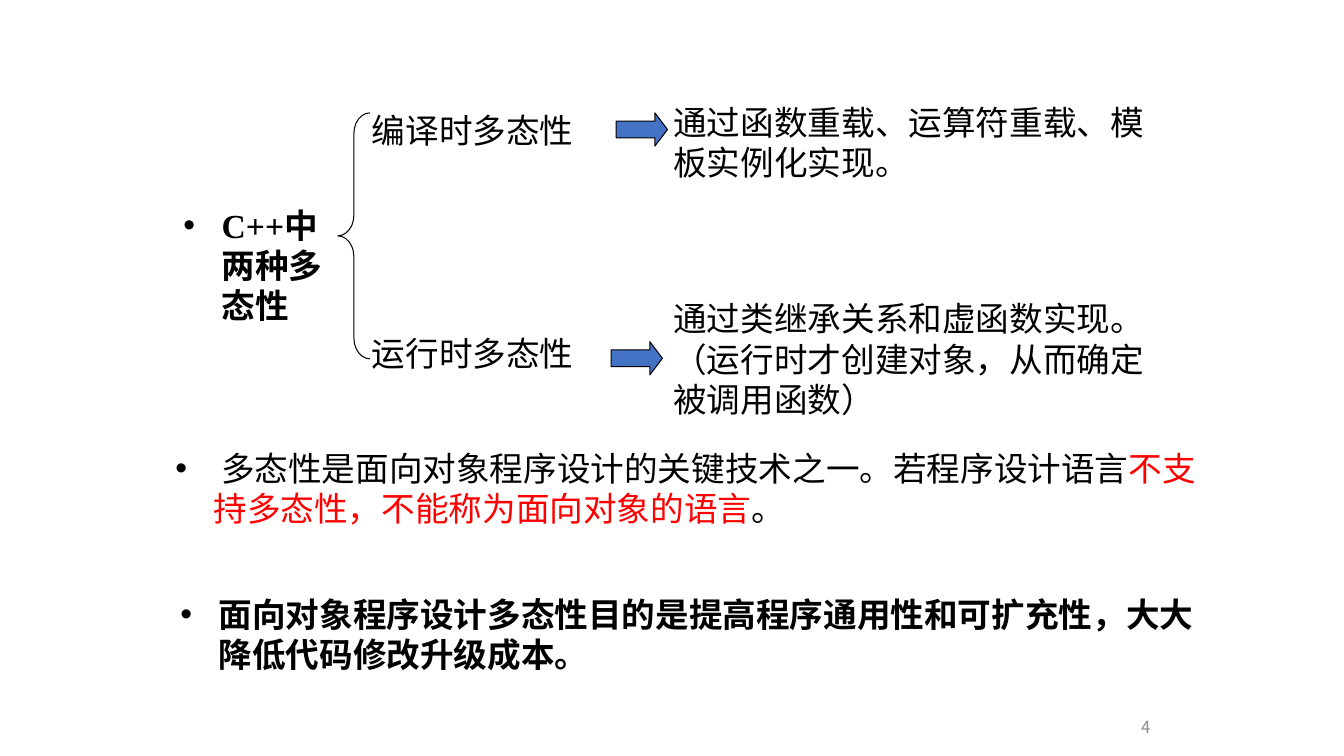
from dataclasses import dataclass

from lxml.etree import SubElement
from pptx import Presentation
from pptx.dml.color import RGBColor
from pptx.enum.shapes import MSO_SHAPE
from pptx.enum.text import MSO_ANCHOR, MSO_AUTO_SIZE, PP_ALIGN
from pptx.oxml.ns import qn
from pptx.util import Pt

SCALE = 9144


@dataclass(frozen=True)
class Theme:
    black: RGBColor = RGBColor(0, 0, 0)
    red: RGBColor = RGBColor(255, 0, 0)
    blue: RGBColor = RGBColor(0x44, 0x72, 0xC4)
    gray: RGBColor = RGBColor(0x8C, 0x8C, 0x8C)
    sans: str = "Noto Sans CJK SC"
    serif: str = "Times New Roman"
    body: int = 24
    small: int = 12
    line: float = 0.75


THEME = Theme()


def px(*sizes):
    return [size * SCALE for size in sizes]


def style(run, size, color, bold=False, face=THEME.sans):
    font = run.font
    font.size = Pt(size)
    font.bold = bold
    font.color.rgb = color
    font.name = face
    SubElement(run.font._element, qn("a:ea"), typeface=THEME.sans)


def add_text(slide, box, text, wrap=True):
    frame = slide.shapes.add_textbox(*px(*box)).text_frame
    frame.word_wrap = wrap
    frame.auto_size = MSO_AUTO_SIZE.SHAPE_TO_FIT_TEXT
    frame.text = text
    for run in frame.paragraphs[0].runs:
        style(run, THEME.body, THEME.black)
    return frame


def add_point(slide, box, parts, bold=False):
    para = add_text(slide, box, "").paragraphs[0]
    props = para._p.get_or_add_pPr()
    props.set("marL", str(38 * SCALE))
    props.set("indent", str(-38 * SCALE))
    SubElement(props, qn("a:buFont"), typeface="Arial")
    SubElement(props, qn("a:buChar"), char="•")
    for text, color, face in parts:
        run = para.add_run()
        run.text = text
        style(run, THEME.body, color, bold, face)


def add_form(slide, kind, box, bends, fill=None):
    shape = slide.shapes.add_shape(kind, *px(*box))
    shape.shadow.inherit = False
    for index, bend in enumerate(bends):
        shape.adjustments[index] = bend
    if fill is None:
        shape.fill.background()
    else:
        shape.fill.solid()
        shape.fill.fore_color.rgb = fill
    shape.line.color.rgb = THEME.black
    shape.line.width = Pt(THEME.line)
    return shape


def add_arrow(slide, left, top):
    box = (left, top, 33, 51)
    arrow = add_form(slide, MSO_SHAPE.UP_ARROW, box, (0.5, 0.38), THEME.blue)
    arrow.rotation = 90


def add_number(slide, text):
    frame = add_text(slide, (926, 701, 225, 40), text)
    frame.auto_size = MSO_AUTO_SIZE.NONE
    frame.vertical_anchor = MSO_ANCHOR.MIDDLE
    para = frame.paragraphs[0]
    para.alignment = PP_ALIGN.RIGHT
    para.runs[0].font.size = Pt(THEME.small)
    para.runs[0].font.color.rgb = THEME.gray


def main():
    deck = Presentation()
    deck.slide_width, deck.slide_height = px(1333, 750)
    slide = deck.slides.add_slide(deck.slide_layouts[6])
    black, red, sans = THEME.black, THEME.red, THEME.sans

    add_number(slide, "4")
    add_point(slide, (172, 198, 162, 131), [
        ("C++", black, THEME.serif),
        ("中两种多态性", black, sans),
    ], bold=True)
    add_form(slide, MSO_SHAPE.LEFT_BRACE, (335, 112, 32, 244), (0.64, 0.5))

    add_text(slide, (359, 104, 231, 50), "编译时多态性", wrap=False)
    add_arrow(slide, 620, 103)
    add_text(slide, (658, 96, 499, 91),
             "通过函数重载、运算符重载、模板实例化实现。")

    add_text(slide, (359, 325, 231, 50), "运行时多态性")
    add_arrow(slide, 615, 330)
    add_text(slide, (658, 291, 499, 131),
             "通过类继承关系和虚函数实现。（运行时才创建对象，从而确定被调用函数）")

    add_point(slide, (164, 439, 1036, 91), [
        (" 多态性是面向对象程序设计的关键技术之一。若程序设计语言", black, sans),
        ("不支持多态性，不能称为面向对象的语言", red, sans),
        ("。", black, sans),
    ])
    add_point(slide, (169, 584, 1036, 91), [
        ("面向对象程序设计多态性目的是提高程序通用性和可扩充性，"
         "大大降低代码修改升级成本。", black, sans),
    ], bold=True)
    deck.save("out.pptx")


if __name__ == "__main__":
    main()
